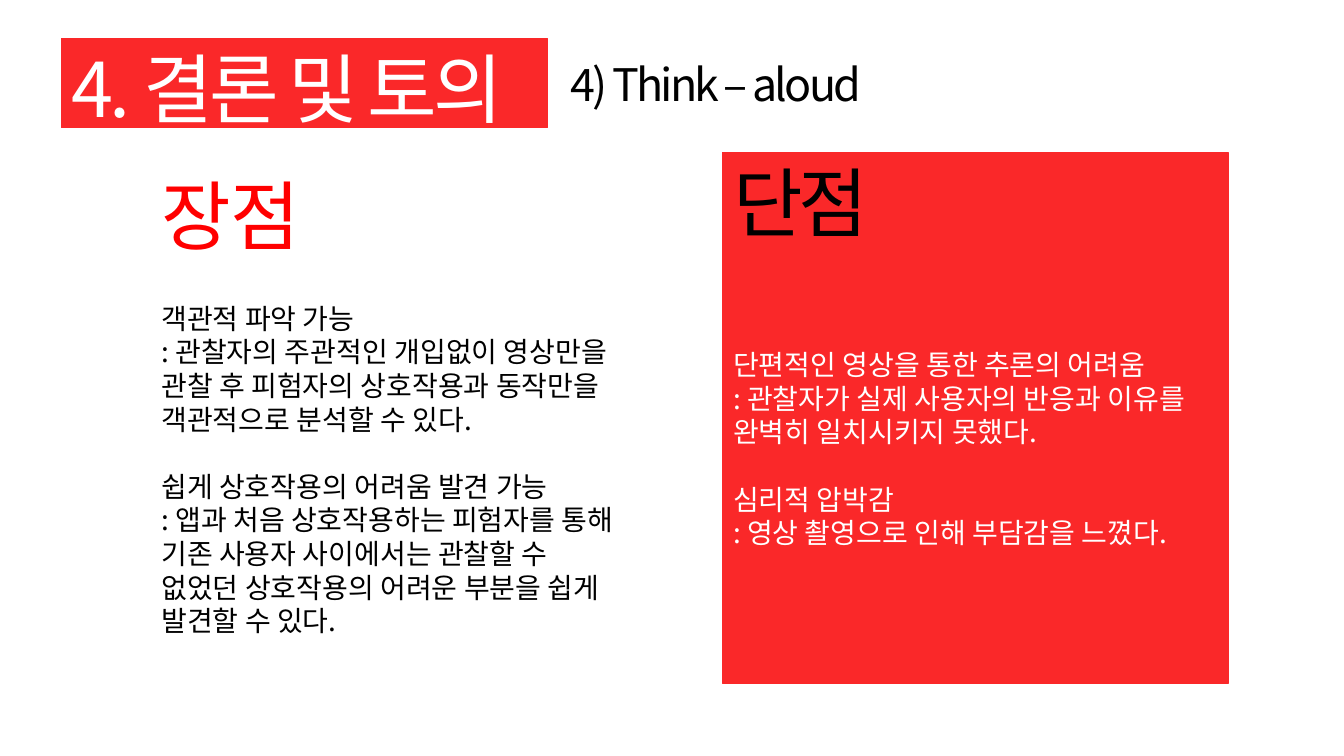
from dataclasses import dataclass

from lxml import etree
from pptx import Presentation
from pptx.dml.color import RGBColor
from pptx.enum.text import MSO_ANCHOR, MSO_AUTO_SIZE, PP_ALIGN
from pptx.oxml.ns import qn
from pptx.util import Inches, Pt

TOP = MSO_ANCHOR.TOP
NO_FIT = MSO_AUTO_SIZE.NONE
LEFT = PP_ALIGN.LEFT
JUSTIFY = PP_ALIGN.JUSTIFY
TWO_CONTENT = 3


@dataclass(frozen=True)
class Style:
    """A type size with its line height and letter spacing, in points."""
    size: float
    line: float
    tracking: float = 0


@dataclass(frozen=True)
class Theme:
    """Colours and type of the slide."""
    font: str = "Noto Sans CJK KR"
    panel: RGBColor = RGBColor(0xFA, 0x28, 0x29)
    red: RGBColor = RGBColor(0xFF, 0, 0)
    black: RGBColor = RGBColor(0, 0, 0)
    white: RGBColor = RGBColor(0xFF, 0xFF, 0xFF)
    title: Style = Style(54, 64, -2.7)
    heading: Style = Style(54, 64)
    subtitle: Style = Style(32, 38.5, -2)
    body: Style = Style(20, 24)
    group_gap: float = 24


THEME = Theme()

PROS = [
    ("객관적 파악 가능",
     ": 관찰자의 주관적인 개입없이 영상만을 관찰 후 피험자의 상호작용과 동작만을 객관적으로 분석할 수 있다."),
    ("쉽게 상호작용의 어려움 발견 가능",
     ": 앱과 처음 상호작용하는 피험자를 통해 기존 사용자 사이에서는 관찰할 수 없었던 "
     "상호작용의 어려운 부분을 쉽게 발견할 수 있다."),
]
CONS = [
    ("단편적인 영상을 통한 추론의 어려움",
     ": 관찰자가 실제 사용자의 반응과 이유를 완벽히 일치시키지 못했다."),
    ("심리적 압박감", ": 영상 촬영으로 인해 부담감을 느꼈다."),
]


def place(shape, box):
    """Move a shape to a box in inches and prepare its text frame."""
    shape.left, shape.top, shape.width, shape.height = map(Inches, box)
    frame = shape.text_frame
    frame.word_wrap = True
    frame.auto_size = NO_FIT
    frame.vertical_anchor = TOP
    frame.margin_right = Inches(0.1)
    return frame


def paint_panel(shape):
    """Give a shape the red fill and outline."""
    shape.fill.solid()
    shape.fill.fore_color.rgb = THEME.panel
    shape.line.color.rgb = THEME.panel
    shape.line.width = Pt(0.75)


def write(para, text, style, color, before=0, align=LEFT):
    """Write one unbulleted paragraph as a single run."""
    props = para._p.get_or_add_pPr()
    props.set("marL", "0")
    props.set("indent", "0")
    para.alignment = align
    para.line_spacing = Pt(style.line)
    para.space_before = Pt(before)
    etree.SubElement(props, qn("a:buNone"))
    span = para.add_run()
    span.text = text
    span.font.size = Pt(style.size)
    span.font.color.rgb = color
    span.font.name = THEME.font
    run_props = span._r.get_or_add_rPr()
    run_props.set("spc", str(round(style.tracking * 100)))
    etree.SubElement(run_props, qn("a:ea"), typeface=THEME.font)


def add_header(page, box):
    """Place the red title and the subtitle to its right."""
    left, top, width, height = box
    title = page.shapes.title
    paint_panel(title)
    frame = place(title, box)
    write(frame.paragraphs[0], "4. 결론 및 토의", THEME.title, THEME.white)
    subtitle = page.shapes.add_textbox(0, 0, 0, 0)
    frame = place(subtitle, (left + width + 0.13, top + 0.13, 6.26, 0.62))
    write(frame.paragraphs[0], "4) Think – aloud", THEME.subtitle, THEME.black,
          align=JUSTIFY)


def fill_column(shape, box, heading, style, heading_color, groups, color, gap):
    """Place a column with a heading and groups of a point and its detail."""
    frame = place(shape, box)
    write(frame.paragraphs[0], heading, style, heading_color)
    for index, (point, detail) in enumerate(groups):
        before = THEME.group_gap if index else gap
        write(frame.add_paragraph(), point, THEME.body, color, before)
        write(frame.add_paragraph(), detail, THEME.body, color)


def build_slide(deck):
    """Build the slide that compares strengths and weaknesses."""
    page = deck.slides.add_slide(deck.slide_layouts[TWO_CONTENT])
    pros, cons = page.placeholders[1], page.placeholders[2]
    add_header(page, (0.61, 0.38, 4.82, 0.89))
    fill_column(pros, (1.5, 1.64, 4.82, 5.48), "장점", THEME.heading,
                THEME.red, PROS, THEME.black, 29.5)
    paint_panel(cons)
    fill_column(cons, (7.17, 1.51, 5.01, 5.27), "단점", THEME.title,
                THEME.black, CONS, THEME.white, 72)


def main():
    """Create and save the deck."""
    deck = Presentation()
    deck.slide_width, deck.slide_height = Inches(13.33), Inches(7.5)
    build_slide(deck)
    deck.save("out.pptx")


if __name__ == "__main__":
    main()
